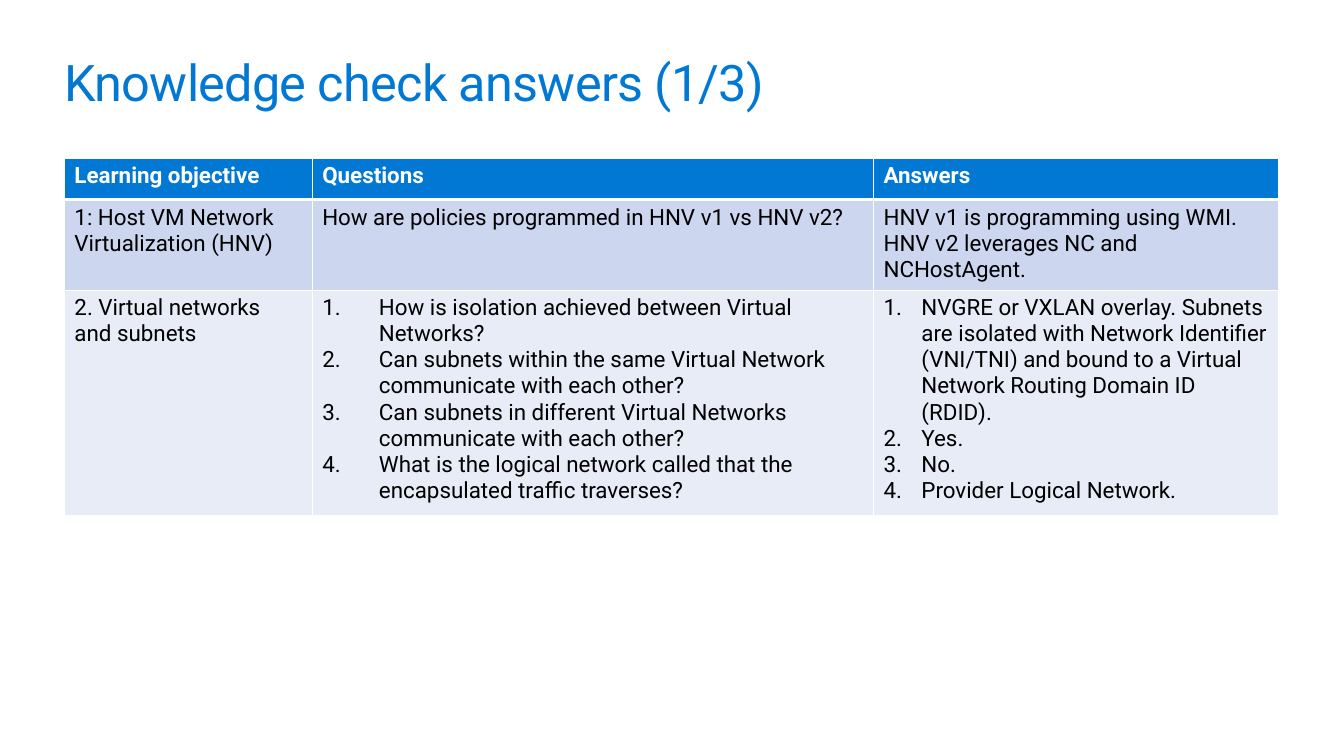
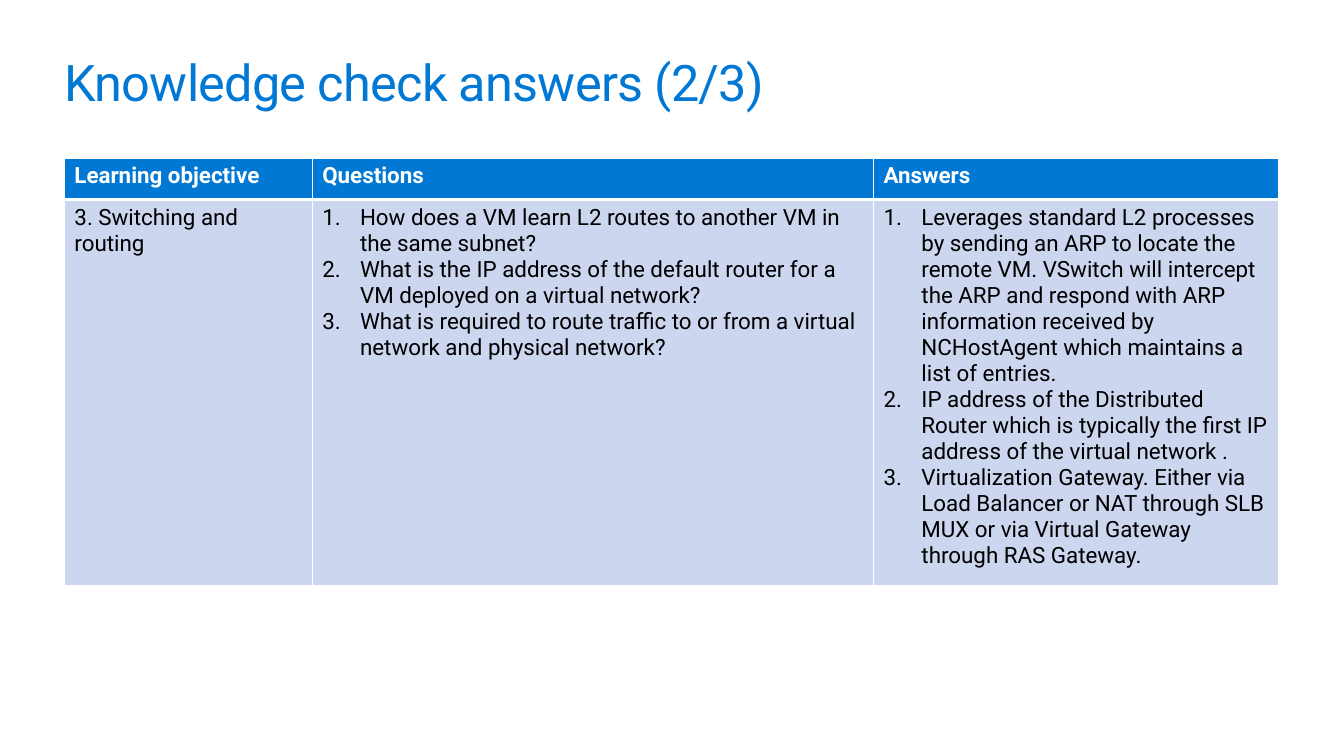
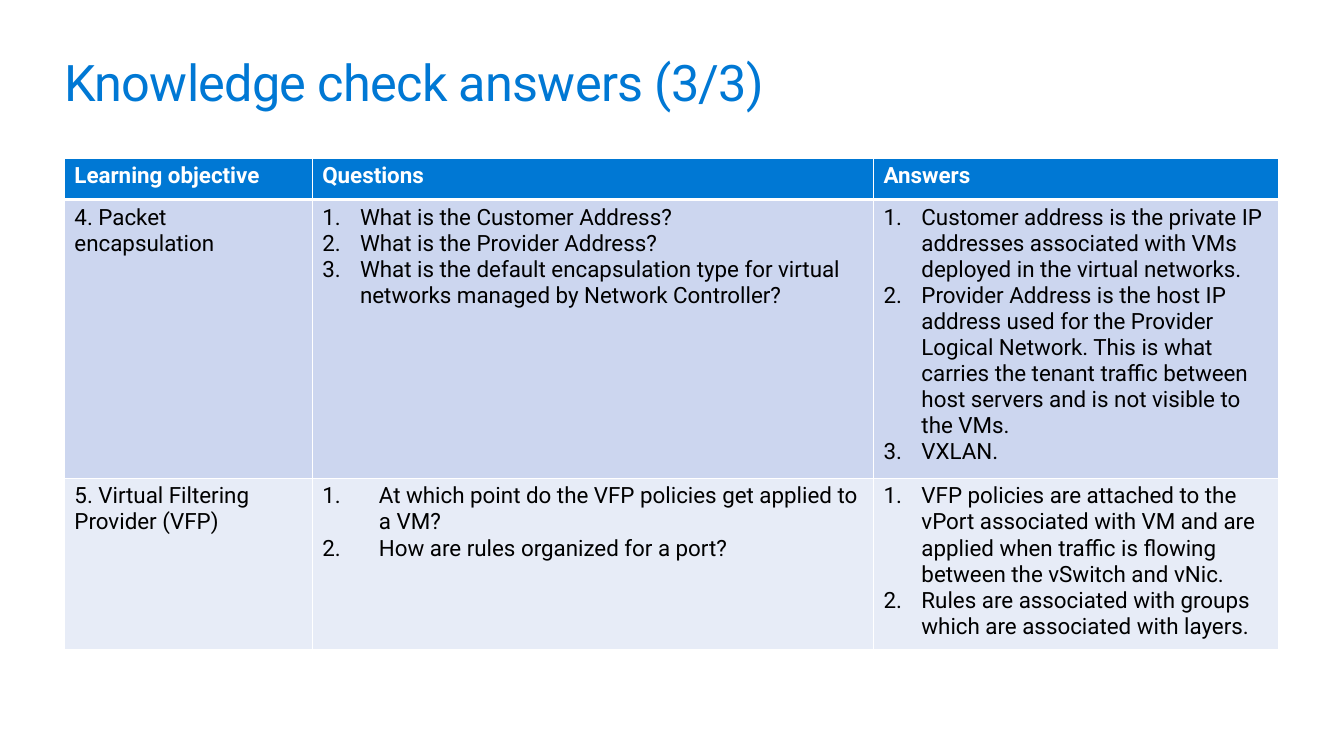
from dataclasses import dataclass

from pptx import Presentation
from pptx.dml.color import RGBColor as RGB
from pptx.enum.text import MSO_ANCHOR as Anchor
from pptx.oxml.ns import qn
from pptx.util import Pt
from lxml.etree import SubElement


@dataclass(frozen=True)
class Theme:
    font: str = "Roboto"
    title_size: int = 36
    body_size: int = 16
    accent: str = "0078D4"
    text: str = "000000"
    rule: str = "FFFFFF"
    bands: tuple = ("CCD6EF", "E7ECF7")


@dataclass(frozen=True)
class Numbered:
    items: tuple
    indent: float = 27


WIDE = 40.5  # wider hanging indent of some lists
LEFT = 46
COLUMNS = (177, 401, 289.5)
HEADER = ("Learning objective", "Questions", "Answers")
HEADER_HEIGHT = 29.5


class Deck:
    def __init__(self, theme):
        self.theme = theme
        self.prs = Presentation()
        self.prs.slide_width, self.prs.slide_height = Pt(960), Pt(540)
        self.s = None

    def add_slide(self):
        self.s = self.prs.slides.add_slide(self.prs.slide_layouts[6])

    def style(self, p, size, color, bold=False):
        for r in p.runs:
            r.font.name = self.theme.font
            r.font.size = Pt(size)
            r.font.bold = bold
            r.font.color.rgb = RGB.from_string(color)

    def title(self, text):
        sp = self.s.shapes.add_textbox(Pt(LEFT), Pt(36), Pt(sum(COLUMNS)), Pt(44))
        tf = sp.text_frame
        tf.word_wrap = True
        tf.margin_left = tf.margin_right = tf.margin_top = tf.margin_bottom = 0
        tf.vertical_anchor = Anchor.BOTTOM
        tf.text = text
        p = tf.paragraphs[0]
        self.style(p, self.theme.title_size, self.theme.accent)
        p.runs[0].font._element.set("spc", "-50")

    def number(self, p, indent):
        pPr = p._p.get_or_add_pPr()
        pPr.set("marL", str(Pt(indent)))
        pPr.set("indent", str(-Pt(indent)))
        SubElement(pPr, qn("a:buFont"), typeface=self.theme.font)
        SubElement(pPr, qn("a:buAutoNum"), type="arabicPeriod")

    def borders(self, cell, top, bottom):
        tcPr = cell._tc.get_or_add_tcPr()
        for side, width in (("L", 1), ("R", 1), ("T", top), ("B", bottom)):
            ln = SubElement(tcPr, qn(f"a:ln{side}"), w=str(Pt(width)))
            fill = SubElement(ln, qn("a:solidFill"))
            SubElement(fill, qn("a:srgbClr"), val=self.theme.rule)

    def cell(self, cell, content, fill, color, bold=False, top=1, bottom=1):
        self.borders(cell, top, bottom)
        cell.fill.solid()
        cell.fill.fore_color.rgb = RGB.from_string(fill)
        numbered = isinstance(content, Numbered)
        tf = cell.text_frame
        tf.text = "\n".join(content.items) if numbered else content
        for p in tf.paragraphs:
            if numbered:
                self.number(p, content.indent)
            self.style(p, self.theme.body_size, color, bold)

    def table(self, rows):
        heights = [HEADER_HEIGHT] + [height for height, _ in rows]
        frame = self.s.shapes.add_table(
            len(heights), len(COLUMNS), Pt(LEFT), Pt(113),
            Pt(sum(COLUMNS)), Pt(sum(heights)))
        tbl = frame.table
        tbl.horz_banding = False
        for column, width in zip(tbl.columns, COLUMNS):
            column.width = Pt(width)
        for row, height in zip(tbl.rows, heights):
            row.height = Pt(height)

        # Header row, set off by a thicker rule
        for c, text in enumerate(HEADER):
            self.cell(tbl.cell(0, c), text, self.theme.accent, self.theme.rule,
                      bold=True, bottom=3)

        # Banded body rows
        for i, (_, contents) in enumerate(rows):
            for c, content in enumerate(contents):
                self.cell(tbl.cell(i + 1, c), content, self.theme.bands[i % 2],
                          self.theme.text, top=1 if i else 3)


# Each slide is a list of rows: height, then one entry per column
SLIDES = (
    [
        (62, (
            "1: Host VM Network Virtualization (HNV)",
            "How are policies programmed in HNV v1 vs HNV v2?",
            "HNV v1 is programming using WMI. HNV v2 leverages NC and NCHostAgent.",
        )),
        (155, (
            "2. Virtual networks and subnets",
            Numbered((
                "How is isolation achieved between Virtual Networks?",
                "Can subnets within the same Virtual Network communicate with each other?",
                "Can subnets in different Virtual Networks communicate with each other?",
                "What is the logical network called that the encapsulated traffic traverses?",
            ), WIDE),
            Numbered((
                "NVGRE or VXLAN overlay. Subnets are isolated with Network Identifier "
                "(VNI/TNI) and bound to a Virtual Network Routing Domain ID (RDID).",
                "Yes.",
                "No.",
                "Provider Logical Network.",
            )),
        )),
    ],
    [
        (266, (
            "3. Switching and routing",
            Numbered((
                "How does a VM learn L2 routes to another VM in the same subnet?",
                "What is the IP address of the default router for a VM deployed on a "
                "virtual network?",
                "What is required to route traffic to or from a virtual network and "
                "physical network?",
            )),
            Numbered((
                "Leverages standard L2 processes by sending an ARP to locate the remote "
                "VM. VSwitch will intercept the ARP and respond with ARP information "
                "received by NCHostAgent which maintains a list of entries.",
                "IP address of the Distributed Router which is typically the first IP "
                "address of the virtual network .",
                "Virtualization Gateway. Either via Load Balancer or NAT through SLB MUX "
                "or via Virtual Gateway through RAS Gateway.",
            )),
        )),
    ],
    [
        (192, (
            "4. Packet encapsulation",
            Numbered((
                "What is the Customer Address?",
                "What is the Provider Address?",
                "What is the default encapsulation type for virtual networks managed by "
                "Network Controller?",
            )),
            Numbered((
                "Customer address is the private IP addresses associated with VMs "
                "deployed in the virtual networks.",
                "Provider Address is the host IP address used for the Provider Logical "
                "Network. This is what carries the tenant traffic between host servers "
                "and is not visible to the VMs.",
                "VXLAN.",
            )),
        )),
        (118, (
            "5. Virtual Filtering Provider (VFP)",
            Numbered((
                "At which point do the VFP policies get applied to a VM?",
                "How are rules organized for a port?",
            ), WIDE),
            Numbered((
                "VFP policies are attached to the vPort associated with VM and are "
                "applied when traffic is flowing between the vSwitch and vNic.",
                "Rules are associated with groups which are associated with layers.",
            )),
        )),
    ],
)


def main():
    deck = Deck(Theme())
    for n, rows in enumerate(SLIDES, 1):
        deck.add_slide()
        deck.title(f"Knowledge check answers ({n}/{len(SLIDES)})")
        deck.table(rows)
    deck.prs.save("out.pptx")


if __name__ == "__main__":
    main()
